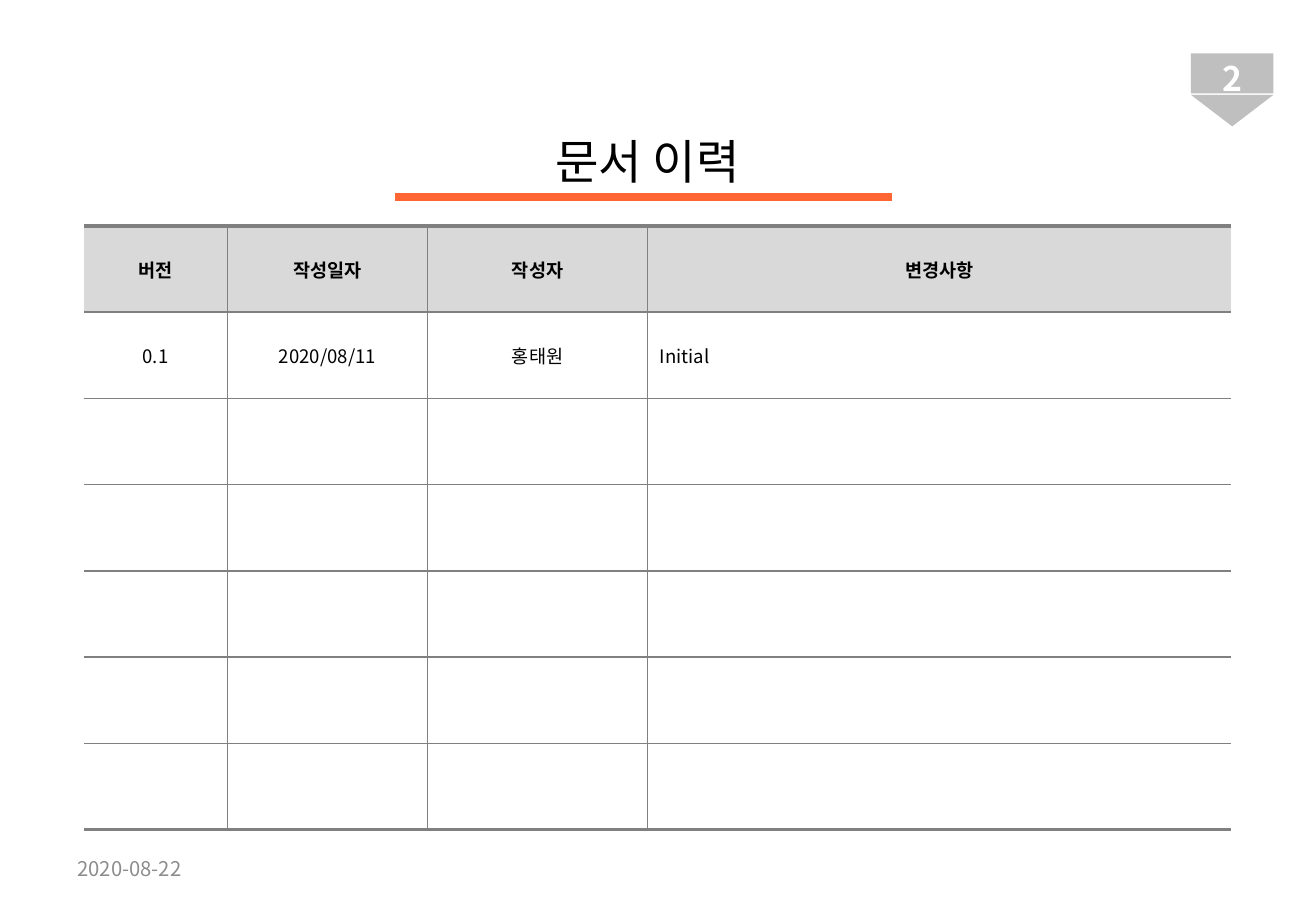
from lxml.etree import SubElement
from pptx import Presentation
from pptx.dml.color import RGBColor
from pptx.enum.shapes import MSO_CONNECTOR, MSO_SHAPE
from pptx.enum.text import MSO_ANCHOR, PP_ALIGN, MSO_AUTO_SIZE
from pptx.oxml.ns import qn
from pptx.util import Inches, Pt

# Content
TITLE = "문서 이력"
DATE = "2020-08-22"
PAGE = "2"
HEADER = ("버전", "작성일자", "작성자", "변경사항")
HISTORY = [("0.1", "2020/08/11", "홍태원", "Initial")]

# Layout in inches, style
WIDTH, HEIGHT = 10.83, 7.5
TABLE_LEFT, TABLE_TOP = 0.69, 1.86
COLUMNS = (1.18, 1.65, 1.81, 4.8)
ROW_COUNT, ROW_HEIGHT = 7, 0.71
BADGE_LEFT, BADGE_TOP, BADGE_WIDTH = 9.8, 0.44, 0.68
FONT = "Noto Sans CJK KR"
BLACK, WHITE, GRAY, BADGE = "000000", "FFFFFF", "808080", "BFBFBF"
HEADER_FILL, DATE_COLOR, ACCENT = "D9D9D9", "8C8C8C", "FF6633"
THIN, THICK = 1, 2.25


def color(value):
    return RGBColor.from_string(value)


def write(frame, text, size, fill, align, bold=False):
    paragraph = frame.paragraphs[0]
    paragraph.alignment = align
    run = paragraph.add_run()
    run.text = text
    run.font.size, run.font.bold, run.font.name = Pt(size), bold, FONT
    run.font.color.rgb = color(fill)
    SubElement(run.font._element, qn("a:ea"), typeface=FONT)


def add_text(box, *style):
    shape = slide.shapes.add_textbox(*map(Inches, box))
    shape.text_frame.word_wrap = True
    shape.text_frame.vertical_anchor = MSO_ANCHOR.MIDDLE
    write(shape.text_frame, *style)


def add_badge_part(kind, top, height, rotation=0):
    shape = slide.shapes.add_shape(
        kind, *map(Inches, (BADGE_LEFT, top, BADGE_WIDTH, height)))
    shape.rotation = rotation
    shape.shadow.inherit = False
    shape.fill.solid()
    shape.fill.fore_color.rgb = color(BADGE)
    shape.line.fill.background()


def add_border(cell, side, width):
    properties = cell._tc.get_or_add_tcPr()
    line = SubElement(properties, qn(f"a:ln{side}"), w=str(Pt(width)))
    if width:
        fill = SubElement(line, qn("a:solidFill"))
        SubElement(fill, qn("a:srgbClr"), val=GRAY)
    else:
        SubElement(line, qn("a:noFill"))


presentation = Presentation()
presentation.slide_width, presentation.slide_height = Inches(WIDTH), Inches(HEIGHT)
slide = presentation.slides.add_slide(presentation.slide_layouts[5])

# Page badge
add_badge_part(MSO_SHAPE.RECTANGLE, BADGE_TOP, 0.33)
add_badge_part(MSO_SHAPE.ISOSCELES_TRIANGLE, BADGE_TOP + 0.34, 0.26, 180)
add_text((BADGE_LEFT, BADGE_TOP, BADGE_WIDTH, 0.4),
         PAGE, 20, WHITE, PP_ALIGN.CENTER, True)

# Title and underline
title = slide.shapes.title
title.left, title.top, title.width, title.height = map(Inches, (1.66, 1.03, 7.34, 0.59))
title.text_frame.auto_size = MSO_AUTO_SIZE.NONE
title.text_frame.vertical_anchor = MSO_ANCHOR.MIDDLE
write(title.text_frame, TITLE, 28, BLACK, PP_ALIGN.CENTER)
underline = slide.shapes.add_connector(
    MSO_CONNECTOR.STRAIGHT, *map(Inches, (3.25, 1.62, 7.34, 1.62)))
underline.line.color.rgb = color(ACCENT)
underline.line.width = Pt(5)
SubElement(underline._element.spPr, qn("a:effectLst"))

# History table
table = slide.shapes.add_table(
    ROW_COUNT, len(COLUMNS),
    *map(Inches, (TABLE_LEFT, TABLE_TOP, sum(COLUMNS), ROW_COUNT * ROW_HEIGHT))).table
for column, width in zip(table.columns, COLUMNS):
    column.width = Inches(width)
last_row, last_column = ROW_COUNT - 1, len(COLUMNS) - 1
rows = [HEADER] + HISTORY
for r in range(ROW_COUNT):
    for c in range(len(COLUMNS)):
        cell = table.cell(r, c)
        cell.vertical_anchor = MSO_ANCHOR.MIDDLE
        add_border(cell, "L", THIN if c else 0)
        add_border(cell, "R", THIN if c < last_column else 0)
        add_border(cell, "T", THIN if r else THICK)
        add_border(cell, "B", THIN if r < last_row else THICK)
        if r == 0:
            cell.fill.solid()
            cell.fill.fore_color.rgb = color(HEADER_FILL)
        else:
            cell.fill.background()
        if r < len(rows):
            left = r > 0 and c == last_column
            write(cell.text_frame, rows[r][c], 11, BLACK,
                  PP_ALIGN.LEFT if left else PP_ALIGN.CENTER, r == 0)

# Date
add_text((0.54, 6.95, 2.53, 0.4), DATE, 12, DATE_COLOR, PP_ALIGN.LEFT)

presentation.save("out.pptx")
